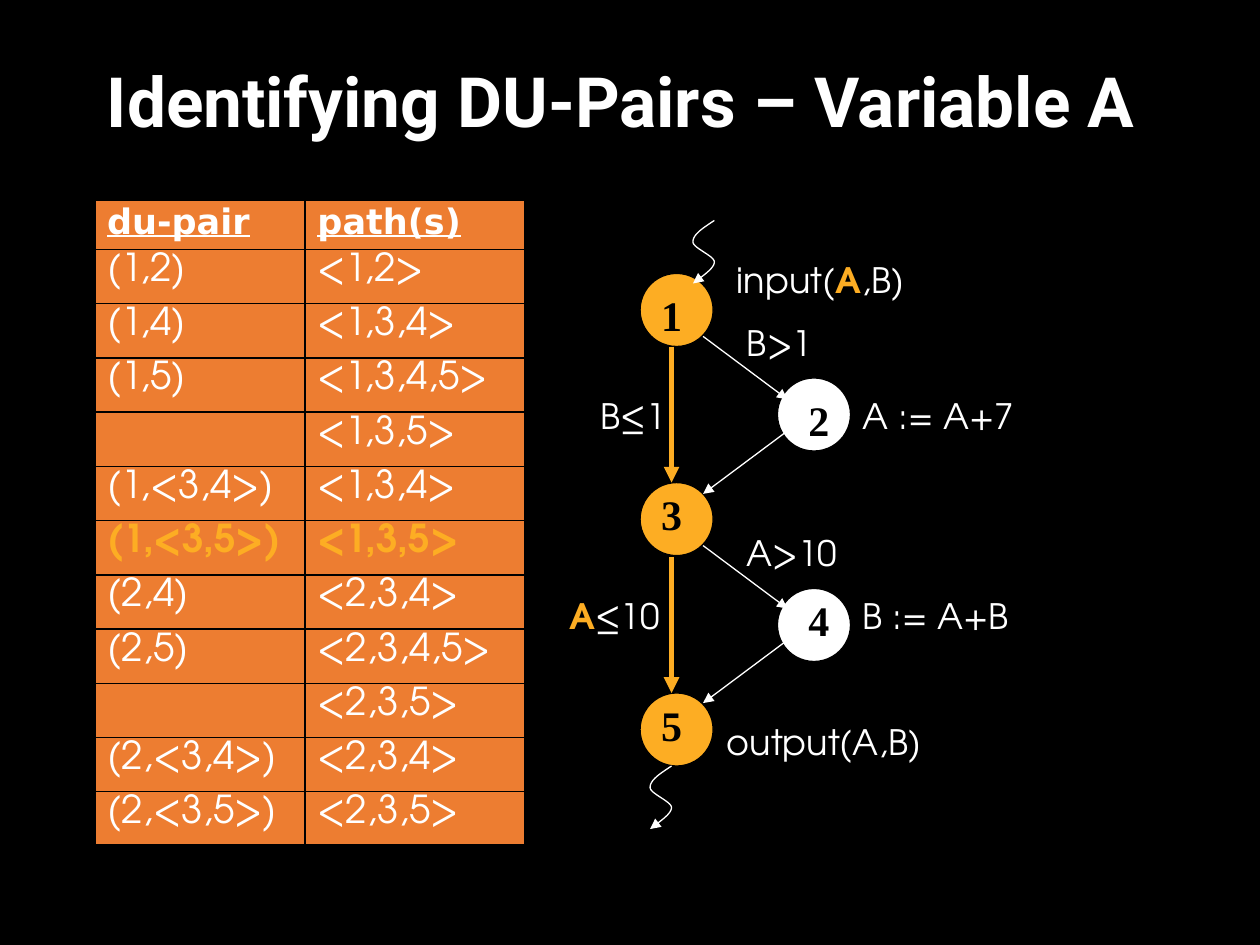
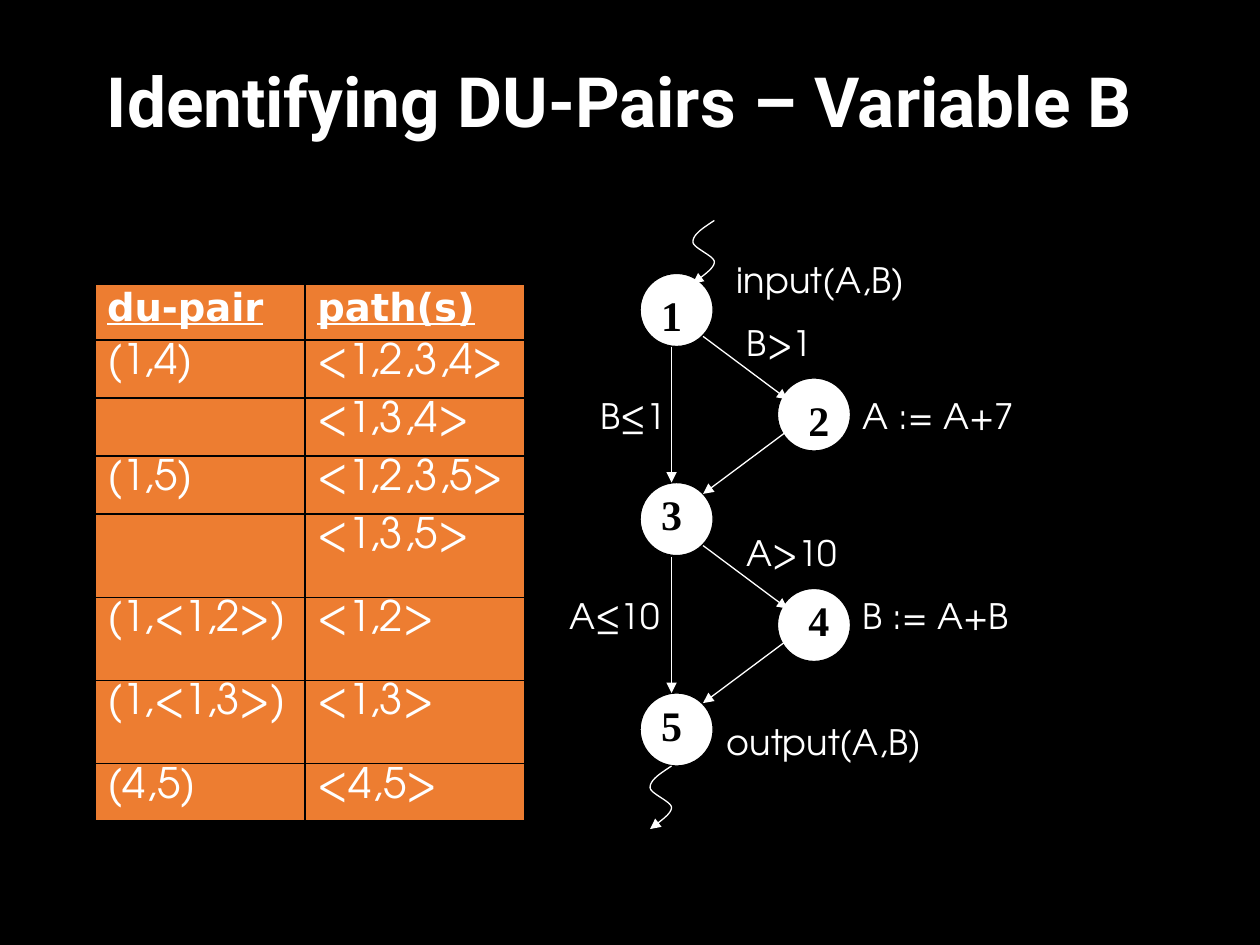
from dataclasses import dataclass
from typing import NamedTuple

from lxml import etree
from pptx import Presentation
from pptx.dml.color import RGBColor
from pptx.enum.shapes import MSO_CONNECTOR, MSO_SHAPE
from pptx.enum.text import MSO_ANCHOR, PP_ALIGN
from pptx.oxml.ns import qn
from pptx.util import Inches, Pt

STRAIGHT = MSO_CONNECTOR.STRAIGHT
ELLIPSE = MSO_SHAPE.OVAL
MIDDLE = MSO_ANCHOR.MIDDLE
LEFT, CENTER = PP_ALIGN.LEFT, PP_ALIGN.CENTER


# Theme
@dataclass(frozen=True)
class Theme:
    black: str = "000000"
    white: str = "FFFFFF"
    table: str = "ED7D31"
    accent: str = "FDAD23"
    title_font: str = "Roboto"
    header_font: str = "DejaVu Sans"
    body_font: str = "TeX Gyre Adventor"
    number_font: str = "Times New Roman"
    title_size: float = 39.6
    number_size: float = 24
    label_size: float = 20
    thin: float = 0.75
    thick: float = 3
    inner_border: float = 1
    outer_border: float = 2.25


THEME = Theme()


# Flow graph
class Node(NamedTuple):
    number: int
    left: float
    top: float
    number_left: float
    number_top: float


class Edge(NamedTuple):
    source: int
    target: int
    x1: float
    y1: float
    x2: float
    y2: float


class Label(NamedTuple):
    text: str  # parts between bars belong to the highlighted use
    left: float
    top: float
    width: float


class Point(NamedTuple):
    x: float
    y: float


NODE_SIZE = 0.58
NODES = (
    Node(1, 5.08, 2.17, 5.08, 2.25),
    Node(2, 6.17, 3, 6.25, 3.08),
    Node(3, 5.08, 3.83, 5.08, 3.83),
    Node(4, 6.17, 4.67, 6.25, 4.67),
    Node(5, 5.08, 5.5, 5.08, 5.5),
)
EDGES = (
    Edge(1, 2, 5.58, 2.67, 6.25, 3.17),
    Edge(2, 3, 6.25, 3.42, 5.58, 3.92),
    Edge(1, 3, 5.33, 2.75, 5.33, 3.83),
    Edge(3, 4, 5.58, 4.33, 6.25, 4.83),
    Edge(4, 5, 6.25, 5.08, 5.58, 5.58),
    Edge(3, 5, 5.33, 4.42, 5.33, 5.5),
)
LABELS = (
    Label("input(|A|,B)", 5.75, 2, 1.92),
    Label("A := A+7", 6.75, 3.08, 1.92),
    Label("B := A+B", 6.75, 4.67, 1.58),
    Label("B>1", 5.83, 2.5, 0.92),
    Label("B≤1", 4.67, 3.08, 0.75),
    Label("A>10", 5.83, 4.17, 0.92),
    Label("|A|≤10", 4.42, 4.67, 0.92),
    Label("output(A,B)", 5.67, 5.67, 1.92),
)
# Entry and exit squiggles: Bézier control points measured from the start
SQUIGGLE_STARTS = (Point(5.67, 1.75), Point(5.33, 6.08))
SQUIGGLE = tuple(Point(x, y) for x, y in (
    (0, 0), (-0.09, 0.06), (-0.17, 0.11), (-0.17, 0.17),
    (-0.17, 0.22), (0, 0.28), (0, 0.33),
    (0, 0.39), (-0.14, 0.47), (-0.17, 0.5),
))
CURVE_STEPS = 16


# Slide contents
@dataclass(frozen=True)
class DuSlide:
    variable: str
    table_top: float
    header_size: float
    body_size: float
    row_heights: tuple[float, ...]
    pairs: tuple[tuple[str, str], ...]
    highlighted_pair: str = ""
    trail: tuple[int, ...] = ()


COLUMN_WIDTHS = (1.67, 1.75)
HEADER = ("du-pair", "path(s)")
DU_SLIDES = (
    DuSlide("A", 1.58, 20, 22, (0.4,) + (0.43,) * 11, (
        ("(1,2)", "<1,2>"),
        ("(1,4)", "<1,3,4>"),
        ("(1,5)", "<1,3,4,5>"),
        ("", "<1,3,5>"),
        ("(1,<3,4>)", "<1,3,4>"),
        ("(1,<3,5>)", "<1,3,5>"),
        ("(2,4)", "<2,3,4>"),
        ("(2,5)", "<2,3,4,5>"),
        ("", "<2,3,5>"),
        ("(2,<3,4>)", "<2,3,4>"),
        ("(2,<3,5>)", "<2,3,5>"),
    ), "(1,<3,5>)", (1, 3, 5)),
    DuSlide("B", 2.25, 22, 24, (0.45,) + (0.46,) * 3 + (0.66,) * 3 + (0.46,), (
        ("(1,4)", "<1,2,3,4>"),
        ("", "<1,3,4>"),
        ("(1,5)", "<1,2,3,5>"),
        ("", "<1,3,5>"),
        ("(1,<1,2>)", "<1,2>"),
        ("(1,<1,3>)", "<1,3>"),
        ("(4,5)", "<4,5>"),
    )),
)


# Drawing helpers
def rgb(color: str) -> RGBColor:
    return RGBColor.from_string(color)


def add_run(paragraph, text: str, font: str, size: float, color: str,
            bold: bool = False, underline: bool = False) -> None:
    run = paragraph.add_run()
    run.text = text
    run.font.color.rgb = rgb(color)
    formats = {"name": font, "size": Pt(size), "bold": bold, "underline": underline}
    for key, value in formats.items():
        setattr(run.font, key, value)


def set_spacing(paragraph, **percents: int) -> None:
    """Add spacing relative to the line, such as spcBef=50."""
    properties = paragraph._p.get_or_add_pPr()
    for tag, percent in percents.items():
        spacing = etree.SubElement(properties, qn(f"a:{tag}"))
        etree.SubElement(spacing, qn("a:spcPct"), val=str(percent * 1000))


def add_text_box(slide, left: float, top: float, width: float, height: float):
    box = slide.shapes.add_textbox(Inches(left), Inches(top), Inches(width), Inches(height))
    box.text_frame.word_wrap = True
    return box.text_frame


def style_arrow(arrow, color: str, width: float) -> None:
    arrow.line.color.rgb = rgb(color)
    arrow.line.width = Pt(width)
    etree.SubElement(arrow.line._get_or_add_ln(), qn("a:tailEnd"), type="triangle")


def set_borders(cell, widths: dict[str, float]) -> None:
    properties = cell._tc.get_or_add_tcPr()
    for side, width in widths.items():
        border = etree.SubElement(properties, qn(f"a:ln{side}"), w=str(Pt(width)))
        fill = etree.SubElement(border, qn("a:solidFill"))
        etree.SubElement(fill, qn("a:srgbClr"), val=THEME.black)


def squiggle_points(start: Point) -> list[tuple[int, int]]:
    points = []
    for first in range(0, len(SQUIGGLE) - 1, 3):
        controls = SQUIGGLE[first:first + 4]
        for step in range(1, CURVE_STEPS + 1):
            t = step / CURVE_STEPS
            weights = ((1 - t) ** 3, 3 * t * (1 - t) ** 2, 3 * t ** 2 * (1 - t), t ** 3)
            x = start.x + sum(w * c.x for w, c in zip(weights, controls))
            y = start.y + sum(w * c.y for w, c in zip(weights, controls))
            points.append((Inches(x), Inches(y)))
    return points


# Slide parts
def add_title(slide, variable: str) -> None:
    frame = add_text_box(slide, 0.75, 0.42, 8.5, 0.83)
    frame.vertical_anchor = MIDDLE
    title = frame.paragraphs[0]
    title.line_spacing = 0.9
    add_run(title, f"Identifying DU-Pairs – Variable {variable}",
            THEME.title_font, THEME.title_size, THEME.white, bold=True)


def add_pair_table(slide, content: DuSlide) -> None:
    rows = (HEADER,) + content.pairs
    table = slide.shapes.add_table(
        len(rows), len(HEADER), Inches(0.75), Inches(content.table_top),
        Inches(sum(COLUMN_WIDTHS)), Inches(sum(content.row_heights))).table
    table.first_row = table.horz_banding = False
    for column, width in zip(table.columns, COLUMN_WIDTHS):
        column.width = Inches(width)
    for r, (row, height) in enumerate(zip(rows, content.row_heights)):
        table.rows[r].height = Inches(height)
        highlighted = row[0] != "" and row[0] == content.highlighted_pair
        for c, text in enumerate(row):
            cell = table.cell(r, c)
            outer = {"L": c == 0, "R": c == len(row) - 1, "T": r == 0, "B": r == len(rows) - 1}
            set_borders(cell, {side: THEME.outer_border if edge else THEME.inner_border
                               for side, edge in outer.items()})
            cell.fill.solid()
            cell.fill.fore_color.rgb = rgb(THEME.table)
            if not text:
                continue
            entry = cell.text_frame.paragraphs[0]
            entry.line_spacing = 0.9
            if r == 0:
                set_spacing(entry, spcBef=20, spcAft=20)
                add_run(entry, text, THEME.header_font, content.header_size,
                        THEME.white, bold=True, underline=True)
            else:
                add_run(entry, text, THEME.body_font, content.body_size,
                        THEME.accent if highlighted else THEME.white, bold=highlighted)


def add_node(slide, node: Node, highlighted: bool) -> None:
    circle = slide.shapes.add_shape(ELLIPSE, Inches(node.left), Inches(node.top),
                                    Inches(NODE_SIZE), Inches(NODE_SIZE))
    circle.shadow.inherit = False
    circle.fill.solid()
    circle.fill.fore_color.rgb = rgb(THEME.accent if highlighted else THEME.white)
    circle.line.color.rgb = rgb(THEME.black)
    circle.line.width = Pt(THEME.thin)


def add_edge(slide, edge: Edge, highlighted: bool) -> None:
    arrow = slide.shapes.add_connector(STRAIGHT, Inches(edge.x1), Inches(edge.y1),
                                       Inches(edge.x2), Inches(edge.y2))
    style_arrow(arrow, THEME.accent if highlighted else THEME.white,
                THEME.thick if highlighted else THEME.thin)
    etree.SubElement(arrow._element.spPr, qn("a:effectLst"))


def add_squiggle(slide, start: Point) -> None:
    builder = slide.shapes.build_freeform(Inches(start.x), Inches(start.y))
    builder.add_line_segments(squiggle_points(start), close=False)
    squiggle = builder.convert_to_shape()
    squiggle.shadow.inherit = False
    squiggle.fill.background()
    style_arrow(squiggle, THEME.white, THEME.thin)


def add_label(slide, label: Label, highlight: bool) -> None:
    caption = add_text_box(slide, label.left, label.top, label.width, 0.43).paragraphs[0]
    caption.alignment = LEFT
    set_spacing(caption, spcBef=50)
    parts = label.text.split("|") if highlight else [label.text.replace("|", "")]
    for index, part in enumerate(parts):
        marked = index % 2 == 1
        if part:
            add_run(caption, part, THEME.body_font, THEME.label_size,
                    THEME.accent if marked else THEME.white, bold=marked)


def add_flow_graph(slide, trail: tuple[int, ...]) -> None:
    trail_edges = set(zip(trail, trail[1:]))
    for node in NODES:
        add_node(slide, node, node.number in trail)
    for edge in EDGES:
        add_edge(slide, edge, (edge.source, edge.target) in trail_edges)
    for start in SQUIGGLE_STARTS:
        add_squiggle(slide, start)
    for node in NODES:
        number = add_text_box(slide, node.number_left, node.number_top, 0.5, 0.5).paragraphs[0]
        number.alignment = CENTER
        set_spacing(number, spcBef=50)
        add_run(number, str(node.number), THEME.number_font, THEME.number_size,
                THEME.black, bold=True)
    for label in LABELS:
        add_label(slide, label, bool(trail))


def main() -> None:
    deck = Presentation()
    deck.slide_width, deck.slide_height = Inches(10), Inches(7.5)
    for content in DU_SLIDES:
        slide = deck.slides.add_slide(deck.slide_layouts[6])
        slide.background.fill.solid()
        slide.background.fill.fore_color.rgb = rgb(THEME.black)
        add_title(slide, content.variable)
        add_pair_table(slide, content)
        add_flow_graph(slide, content.trail)
    deck.save("out.pptx")


if __name__ == "__main__":
    main()
